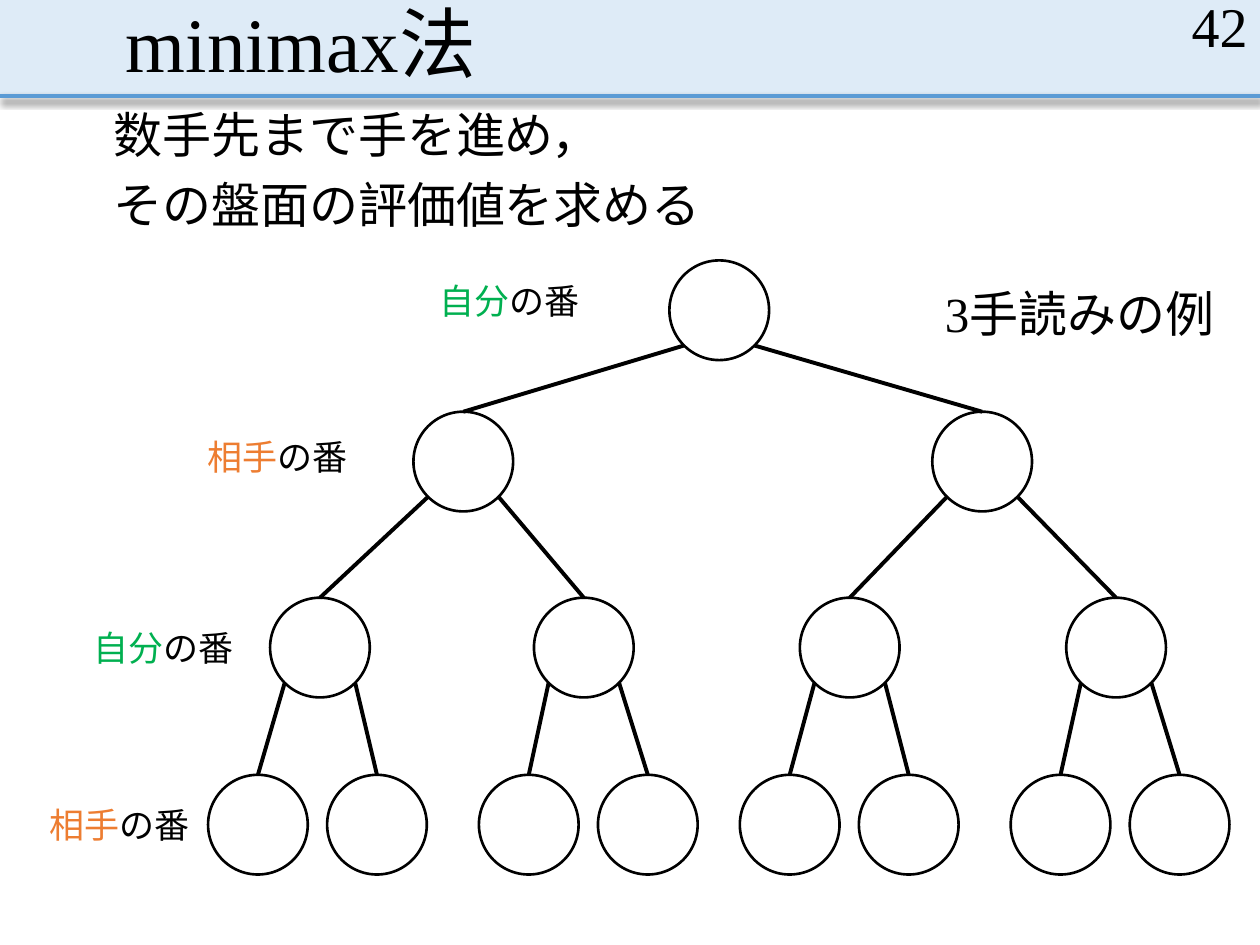
import math

import pptx
import pptx.dml.color
import pptx.enum.shapes
import pptx.enum.text
import pptx.oxml
import pptx.oxml.ns
import pptx.util
from pptx.util import Cm

RGBColor = pptx.dml.color.RGBColor
BLACK = RGBColor(0x00, 0x00, 0x00)
WHITE = RGBColor(0xFF, 0xFF, 0xFF)
PALE_BLUE = RGBColor(0xDE, 0xEB, 0xF7)
BLUE = RGBColor(0x5B, 0x9B, 0xD5)
GREEN = RGBColor(0x00, 0xB0, 0x50)
ORANGE = RGBColor(0xED, 0x7D, 0x31)

ALIGN = pptx.enum.text.PP_ALIGN
ANCHOR = pptx.enum.text.MSO_ANCHOR
SHAPE = pptx.enum.shapes.MSO_SHAPE

NO_EFFECT = "<a:effectLst %s/>" % pptx.oxml.ns.nsdecls("a")
SOFT_SHADOW = (
    '<a:effectLst %s><a:outerShdw blurRad="50800" dist="31750" dir="5400000"'
    ' algn="t" rotWithShape="0"><a:srgbClr val="000000"><a:alpha val="47000"/>'
    "</a:srgbClr></a:outerShdw></a:effectLst>" % pptx.oxml.ns.nsdecls("a")
)


class SlideBuilder:
    """Holds the style and the current slide; all lengths are in cm."""

    font = "Times New Roman"

    def __init__(self, slide):
        self.slide = slide

    def shape(self, kind, left, top, width, height, fill, outline=None):
        shape = self.slide.shapes.add_shape(
            kind, Cm(left), Cm(top), Cm(width), Cm(height))
        shape.shadow.inherit = False
        shape.fill.solid()
        shape.fill.fore_color.rgb = fill
        if outline is None:
            shape.line.fill.background()
        else:
            shape.line.color.rgb = outline
            shape.line.width = pptx.util.Pt(1.5)
        return shape

    def line(self, x1, y1, x2, y2, color=BLACK, effect=NO_EFFECT):
        line = self.slide.shapes.add_connector(
            pptx.enum.shapes.MSO_CONNECTOR.STRAIGHT,
            Cm(x1), Cm(y1), Cm(x2), Cm(y2))
        line.line.color.rgb = color
        line.line.width = pptx.util.Pt(2.25)
        line._element.spPr.append(pptx.oxml.parse_xml(effect))
        return line

    def text(self, left, top, width, height, paragraphs, size,
             align=ALIGN.LEFT, anchor=ANCHOR.TOP, side_inset=0.25,
             line_spacing=None):
        """Each paragraph is a list of (wording, colour) pairs."""
        box = self.slide.shapes.add_textbox(
            Cm(left), Cm(top), Cm(width), Cm(height))
        frame = box.text_frame
        frame.word_wrap = True
        frame.vertical_anchor = anchor
        frame.margin_left = frame.margin_right = Cm(side_inset)
        for index, parts in enumerate(paragraphs):
            paragraph = frame.add_paragraph() if index else frame.paragraphs[0]
            paragraph.alignment = align
            paragraph.line_spacing = line_spacing
            if index:
                paragraph.space_before = pptx.util.Pt(10)
            for wording, color in parts:
                run = paragraph.add_run()
                run.text = wording
                run.font.name = self.font
                run.font.size = pptx.util.Pt(size)
                run.font.color.rgb = color


def draw_header(builder):
    builder.shape(SHAPE.RECTANGLE, 0, 0, 25.4, 1.93, PALE_BLUE)
    builder.line(0, 1.93, 25.4, 1.93, BLUE, SOFT_SHADOW)
    builder.text(2.29, 0, 20.95, 1.93, [[("minimax法", BLACK)]], 44,
                 anchor=ANCHOR.BOTTOM, line_spacing=0.9)
    builder.text(19.69, 0, 5.71, 1.02, [[("42", BLACK)]], 32,
                 align=ALIGN.RIGHT, anchor=ANCHOR.MIDDLE)


def draw_tree(builder):
    diameter = 2.01
    radius = diameter / 2
    diagonal = radius * math.sqrt(0.5)
    sibling_gap = 2.4
    leaf_centers = [first + offset for first in (5.2, 10.66, 15.92, 21.38)
                    for offset in (0, sibling_gap)]
    # Top of each level and the centres of its nodes
    levels = [
        (5.25, [14.5]),
        (8.3, [9.34, 19.8]),
        (12.05, [6.45, 11.77, 17.13, 22.5]),
        (15.62, leaf_centers),
    ]

    # Nodes
    nodes = [[builder.shape(SHAPE.OVAL, center - radius, top, diameter,
                            diameter, WHITE, BLACK) for center in centers]
             for top, centers in levels]

    # Branches: each node leads to two children on the next level
    for depth in range(1, len(levels)):
        parent_top, parents = levels[depth - 1]
        child_top, children = levels[depth]
        for index, child in enumerate(children):
            side = 1 if index % 2 else -1
            branch = builder.line(parents[index // 2] + side * diagonal,
                                  parent_top + radius + diagonal,
                                  child, child_top)
            branch.end_connect(nodes[depth][index], 0)

    # Whose turn it is on each level
    mine, theirs = ("自分", GREEN), ("相手", ORANGE)
    for left, top, player in [(8.61, 5.51, mine), (3.94, 8.66, theirs),
                              (1.63, 12.5, mine), (0.74, 16.08, theirs)]:
        builder.text(left, top, 3.45, 1.12, [[player, ("の番", BLACK)]], 20)


def main():
    presentation = pptx.Presentation()
    presentation.slide_width = Cm(25.4)
    presentation.slide_height = Cm(19.05)
    builder = SlideBuilder(
        presentation.slides.add_slide(presentation.slide_layouts[6]))

    draw_header(builder)
    draw_tree(builder)

    # Explanation and example caption
    builder.text(2.29, 2.11, 21.49, 2.79,
                 [[("数手先まで手を進め，", BLACK)],
                  [("その盤面の評価値を求める", BLACK)]],
                 28, side_inset=0, line_spacing=0.9)
    builder.text(18.8, 5.59, 5.99, 1.45, [[("3手読みの例", BLACK)]], 28)

    presentation.save("out.pptx")


if __name__ == "__main__":
    main()
